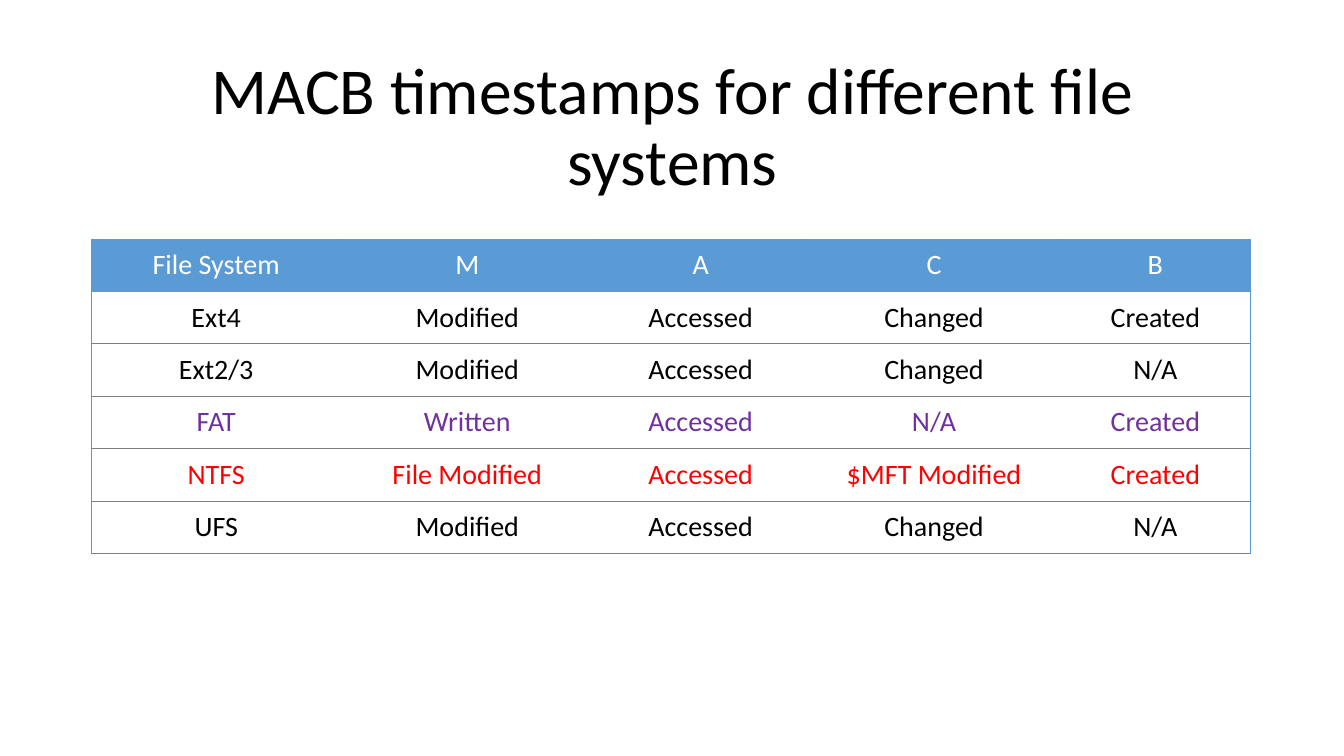
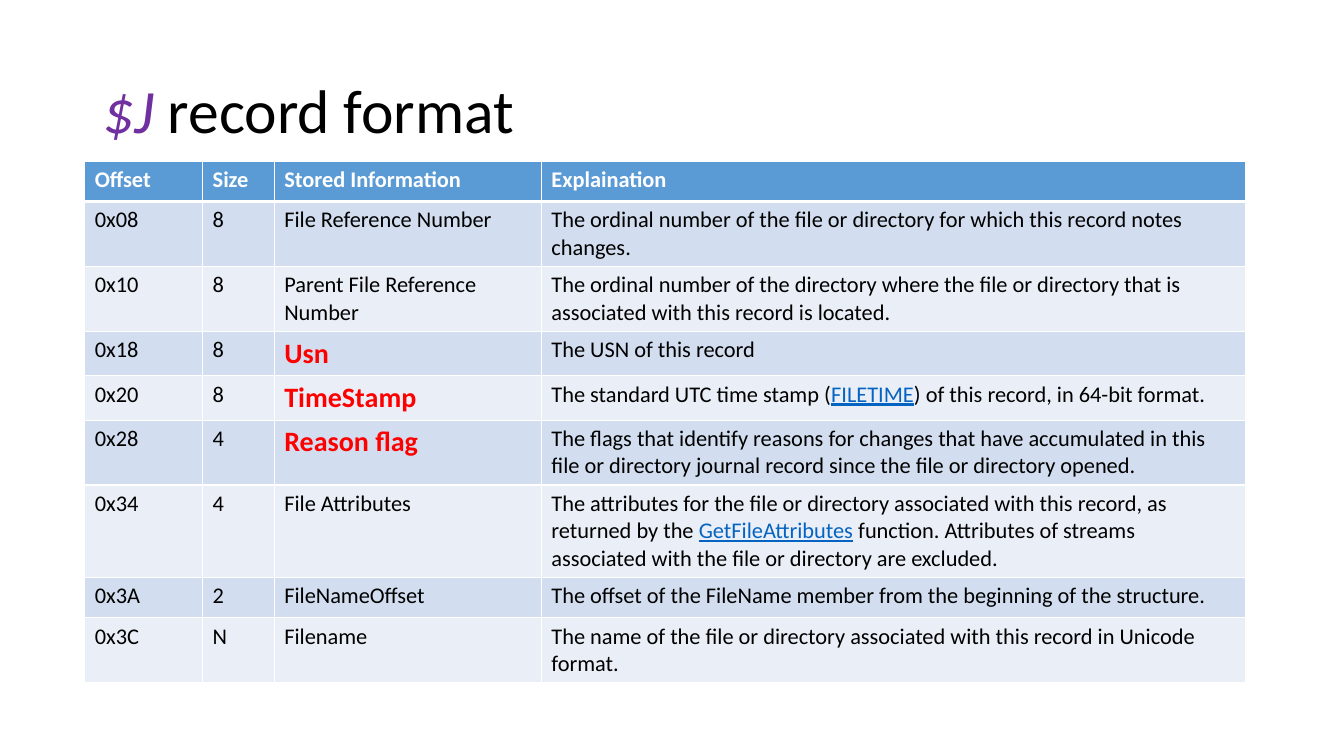
from lxml import etree
from pptx import Presentation
from pptx.dml.color import RGBColor
from pptx.enum.text import MSO_ANCHOR, MSO_AUTO_SIZE, PP_ALIGN
from pptx.oxml.ns import qn
from pptx.util import Inches, Pt

TOP, MIDDLE, BOTTOM = MSO_ANCHOR.TOP, MSO_ANCHOR.MIDDLE, MSO_ANCHOR.BOTTOM
LEFT, CENTER = PP_ALIGN.LEFT, PP_ALIGN.CENTER
NO_AUTOFIT = MSO_AUTO_SIZE.NONE
TITLE_ONLY = 5
FONT = "Calibri"
COLORS = {
    "black": "000000",
    "white": "FFFFFF",
    "blue": "5B9BD5",
    "band_dark": "D2DEEF",
    "band_light": "EAEFF7",
    "rule": "808080",
    "purple": "7030A0",
    "red": "FF0000",
    "link": "0563C1",
}

TIMESTAMP_COLUMNS = [2.47, 2.51, 2.12, 2.51, 1.88]
TIMESTAMP_ROWS = [
    ("white", ["File System", "M", "A", "C", "B"]),
    ("black", ["Ext4", "Modified", "Accessed", "Changed", "Created"]),
    ("black", ["Ext2/3", "Modified", "Accessed", "Changed", "N/A"]),
    ("purple", ["FAT", "Written", "Accessed", "N/A", "Created"]),
    ("red", ["NTFS", "File Modified", "Accessed", "$MFT Modified", "Created"]),
    ("black", ["UFS", "Modified", "Accessed", "Changed", "N/A"]),
]

RECORD_COLUMNS = [1.17, 0.71, 2.65, 6.98]
RECORD_HEADER = ["Offset", "Size", "Stored Information", "Explaination"]
KEY_FIELDS = {"Usn", "TimeStamp", "Reason flag"}
LINKED_TERMS = ["FILETIME", "GetFileAttributes"]
RECORD_FIELDS = [
    ["0x08", "8", "File Reference Number",
     "The ordinal number of the file or directory for which this record notes changes."],
    ["0x10", "8", "Parent File Reference Number",
     "The ordinal number of the directory where the file or directory that is "
     "associated with this record is located."],
    ["0x18", "8", "Usn", "The USN of this record"],
    ["0x20", "8", "TimeStamp",
     "The standard UTC time stamp (FILETIME) of this record, in 64-bit format."],
    ["0x28", "4", "Reason flag",
     "The flags that identify reasons for changes that have accumulated in this "
     "file or directory journal record since the file or directory opened."],
    ["0x34", "4", "File Attributes",
     "The attributes for the file or directory associated with this record, as "
     "returned by the GetFileAttributes function. Attributes of streams "
     "associated with the file or directory are excluded."],
    ["0x3A", "2", "FileNameOffset",
     "The offset of the FileName member from the beginning of the structure."],
    ["0x3C", "N", "Filename",
     "The name of the file or directory associated with this record in Unicode format."],
]


def rgb(color):
    return RGBColor.from_string(COLORS[color])


def add_run(paragraph, text, size, color, bold=False, italic=False, underline=False):
    run = paragraph.add_run()
    run.text = text
    font = run.font
    font.name, font.size = FONT, Pt(size)
    font.bold, font.italic, font.underline = bold, italic, underline
    font.color.rgb = rgb(color)


def set_title(slide, box, size, runs, align, anchor):
    """Place the title; runs holds (text, colour, italic)."""
    title = slide.shapes.title
    title.left, title.top, title.width, title.height = map(Inches, box)
    frame = title.text_frame
    frame.word_wrap = True
    frame.auto_size = NO_AUTOFIT
    frame.vertical_anchor = anchor
    paragraph = frame.paragraphs[0]
    paragraph.alignment = align
    paragraph.line_spacing = 0.9
    for text, color, italic in runs:
        add_run(paragraph, text, size, color, italic=italic)


def add_grid(slide, left, top, column_widths, row_count, row_height):
    frame = slide.shapes.add_table(
        row_count, len(column_widths), Inches(left), Inches(top),
        Inches(sum(column_widths)), Inches(row_count * row_height))
    for column, width in zip(frame.table.columns, column_widths):
        column.width = Inches(width)
    return frame.table


def set_borders(cell, borders):
    """Draw (colour, points) for the left, right, top and bottom; None is no line."""
    properties = cell._tc.get_or_add_tcPr()
    for side, border in zip("LRTB", borders):
        line = etree.SubElement(properties, qn(f"a:ln{side}"))
        if border is None:
            etree.SubElement(line, qn("a:noFill"))
            continue
        color, width = border
        line.set("w", str(Pt(width)))
        fill = etree.SubElement(line, qn("a:solidFill"))
        etree.SubElement(fill, qn("a:srgbClr")).set("val", COLORS[color])


def format_cell(cell, fill, borders, align=LEFT, anchor=TOP):
    """Style the cell and return its paragraph."""
    set_borders(cell, borders)
    cell.fill.solid()
    cell.fill.fore_color.rgb = rgb(fill)
    cell.vertical_anchor = anchor
    paragraph = cell.text_frame.paragraphs[0]
    paragraph.alignment = align
    return paragraph


def add_timestamp_table(slide, left, top):
    table = add_grid(slide, left, top, TIMESTAMP_COLUMNS, len(TIMESTAMP_ROWS), 0.52)
    last_column = len(TIMESTAMP_COLUMNS) - 1
    outline, rule = ("blue", 0.5), ("rule", 0.5)
    for row, (color, texts) in enumerate(TIMESTAMP_ROWS):
        header = row == 0
        inner = outline if header else None
        for column, text in enumerate(texts):
            cell = table.cell(row, column)
            cell.margin_left = cell.margin_right = Inches(0.07)
            cell.margin_top = cell.margin_bottom = Inches(0.07)
            borders = [
                outline if column == 0 else inner,
                outline if column == last_column else inner,
                outline if row <= 1 else rule,
                outline if header else rule,
            ]
            fill = "blue" if header else "white"
            paragraph = format_cell(cell, fill, borders, CENTER, MIDDLE)
            add_run(paragraph, text, 20, color)


def add_linked_text(paragraph, text):
    """Write body text, with any linked term underlined in the link colour."""
    for term in LINKED_TERMS:
        before, found, after = text.partition(term)
        if found:
            add_run(paragraph, before, 16, "black")
            add_run(paragraph, found, 16, "link", underline=True)
            add_run(paragraph, after, 16, "black")
            return
    add_run(paragraph, text, 16, "black")


def add_record_table(slide, left, top):
    rows = [RECORD_HEADER] + RECORD_FIELDS
    table = add_grid(slide, left, top, RECORD_COLUMNS, len(rows), 0.4)
    thin, thick = ("white", 1), ("white", 3)
    for row, texts in enumerate(rows):
        header = row == 0
        fill = "blue" if header else "band_dark" if row % 2 else "band_light"
        borders = [thin, thin, thick if row == 1 else thin, thick if header else thin]
        for column, text in enumerate(texts):
            paragraph = format_cell(table.cell(row, column), fill, borders)
            if header:
                add_run(paragraph, text, 16, "white", bold=True)
            elif text in KEY_FIELDS:
                add_run(paragraph, text, 20, "red", bold=True)
            else:
                add_linked_text(paragraph, text)


def build_timestamp_slide(slide):
    set_title(slide, (0.92, 0.61, 11.5, 1.42), 46.8,
              [("MACB timestamps for different file systems", "black", False)],
              CENTER, BOTTOM)
    add_timestamp_table(slide, 0.91, 2.37)


def build_record_slide(slide):
    set_title(slide, (0.92, 0.4, 11.5, 1.45), 44,
              [("$J ", "purple", True), ("record format", "black", False)],
              LEFT, MIDDLE)
    add_record_table(slide, 0.84, 1.6)


def main():
    presentation = Presentation()
    presentation.slide_width = Inches(13.33)
    presentation.slide_height = Inches(7.5)
    layout = presentation.slide_layouts[TITLE_ONLY]
    for build in (build_timestamp_slide, build_record_slide):
        build(presentation.slides.add_slide(layout))
    presentation.save("out.pptx")


if __name__ == "__main__":
    main()
